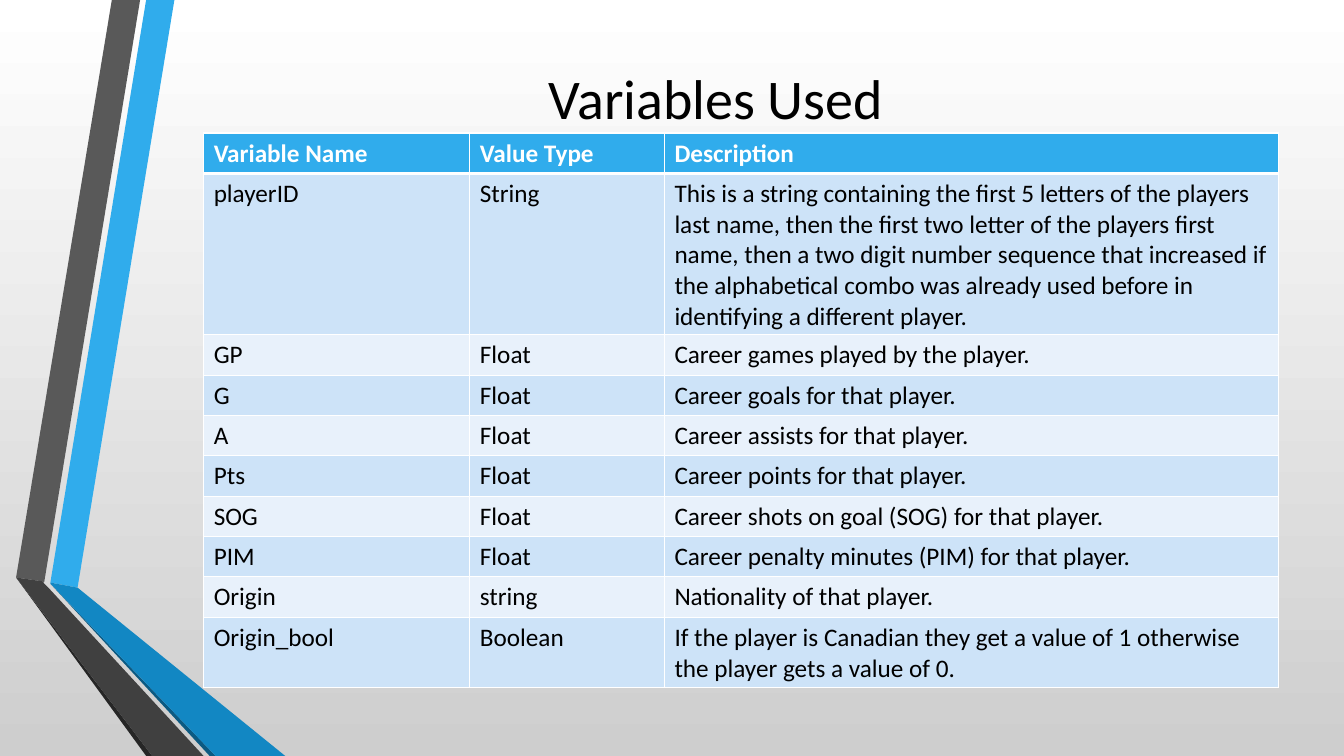
from lxml.etree import SubElement
from pptx import Presentation
from pptx.dml.color import RGBColor
from pptx.enum.text import MSO_ANCHOR as Anchor, PP_ALIGN as Align
from pptx.oxml.ns import qn
from pptx.util import Inches, Pt

WIDTH, HEIGHT = 13.33, 7.5
FONT = "Calibri"
BLACK, WHITE, BLUE = "000000", "FFFFFF", "30ACEC"
BACKGROUND = (WHITE, "CECECE")
BANDS = ("CDE3F8", "E8F1FB")

TITLE = "Variables Used"
HEADER = ("Variable Name", "Value Type", "Description")
# Variable name, value type, description, lines of text in the row
VARIABLES = [
    ("playerID", "String",
     "This is a string containing the first 5 letters of the players last name, "
     "then the first two letter of the players first name, then a two digit number "
     "sequence that increased if the alphabetical combo was already used before in "
     "identifying a different player.", 5),
    ("GP", "Float", "Career games played by the player.", 1),
    ("G", "Float", "Career goals for that player.", 1),
    ("A", "Float", "Career assists for that player.", 1),
    ("Pts", "Float", "Career points for that player.", 1),
    ("SOG", "Float", "Career shots on goal (SOG) for that player.", 1),
    ("PIM", "Float", "Career penalty minutes (PIM) for that player.", 1),
    ("Origin", "string", "Nationality of that player.", 1),
    ("Origin_bool", "Boolean",
     "If the player is Canadian they get a value of 1 otherwise the player gets "
     "a value of 0.", 2),
]

TITLE_BOX = (1.62, 0, 10.96, 1.92)
TABLE_LEFT, TABLE_TOP = 2.02, 1.32
COLUMN_WIDTHS = (2.64, 1.93, 6.09)
LINE_HEIGHT, ROW_PADDING = 0.3, 0.09

# Folded ribbons at the left edge: colour, corner points
RIBBONS = [
    (BLUE, [(0.5, 5.78), (0.77, 5.83), (1.73, 0), (1.45, 0)]),
    ("595959", [(1.39, 0), (1.11, 0), (0.16, 5.73), (0.44, 5.77)]),
    ("262626", [(0.16, 5.73), (1.45, HEIGHT), (1.51, HEIGHT)]),
    ("0C5A82", [(0.5, 5.79), (2.08, HEIGHT), (2.14, HEIGHT)]),
    ("1287C3", [(0.5, 5.79), (2.14, HEIGHT), (2.83, HEIGHT), (0.77, 5.83), (0.5, 5.78)]),
    ("404040", [(2.02, HEIGHT), (0.48, 5.83), (0.43, 5.78), (0.44, 5.77),
                (0.16, 5.73), (1.51, HEIGHT)]),
]


def color(value):
    return RGBColor.from_string(value)


def write(para, text, size, ink, bold=False):
    span = para.add_run()
    span.text = text
    span.font.name, span.font.size, span.font.bold = FONT, Pt(size), bold
    span.font.color.rgb = color(ink)


def paint_background(page):
    fill = page.background.fill
    fill.gradient()
    fill.gradient_angle = 270
    for stop, shade in zip(fill.gradient_stops, BACKGROUND):
        stop.color.rgb = color(shade)


def draw_ribbon(page, shade, corners):
    points = [(Inches(x), Inches(y)) for x, y in corners]
    builder = page.shapes.build_freeform(*points[0])
    builder.add_line_segments(points[1:], close=True)
    ribbon = builder.convert_to_shape()
    ribbon.shadow.inherit = False
    ribbon.fill.solid()
    ribbon.fill.fore_color.rgb = color(shade)
    ribbon.line.fill.background()


def add_title(page):
    box = page.shapes.add_textbox(*map(Inches, TITLE_BOX))
    frame = box.text_frame
    frame.word_wrap = True
    frame.vertical_anchor = Anchor.MIDDLE
    para = frame.paragraphs[0]
    para.alignment = Align.CENTER
    write(para, TITLE, 40, BLACK)


def set_borders(cell, top, bottom):
    """Draw white cell borders; top and bottom are widths in points."""
    properties = cell._tc.get_or_add_tcPr()
    for side, width in (("L", 1), ("R", 1), ("T", top), ("B", bottom)):
        line = SubElement(properties, qn(f"a:ln{side}"), w=str(Pt(width)))
        SubElement(SubElement(line, qn("a:solidFill")), qn("a:srgbClr"), val=WHITE)


def add_variable_table(page):
    rows = [(*HEADER, 1)] + VARIABLES
    heights = [ROW_PADDING + LINE_HEIGHT * row[-1] for row in rows]
    frame = page.shapes.add_table(
        len(rows), len(HEADER), Inches(TABLE_LEFT), Inches(TABLE_TOP),
        Inches(sum(COLUMN_WIDTHS)), Inches(sum(heights)))
    table = frame.table
    for column, width in zip(table.columns, COLUMN_WIDTHS):
        column.width = Inches(width)
    for index, (*texts, _) in enumerate(rows):
        table.rows[index].height = Inches(heights[index])
        is_header = index == 0
        for column, text in enumerate(texts):
            cell = table.cell(index, column)
            set_borders(cell, 3 if index == 1 else 1, 3 if is_header else 1)
            cell.fill.solid()
            cell.fill.fore_color.rgb = color(BLUE if is_header else BANDS[(index - 1) % 2])
            write(cell.text_frame.paragraphs[0], text, 18,
                  WHITE if is_header else BLACK, is_header)


def main():
    deck = Presentation()
    deck.slide_width, deck.slide_height = Inches(WIDTH), Inches(HEIGHT)
    page = deck.slides.add_slide(deck.slide_layouts[6])
    paint_background(page)
    for shade, corners in RIBBONS:
        draw_ribbon(page, shade, corners)
    add_title(page)
    add_variable_table(page)
    deck.save("out.pptx")


if __name__ == "__main__":
    main()
